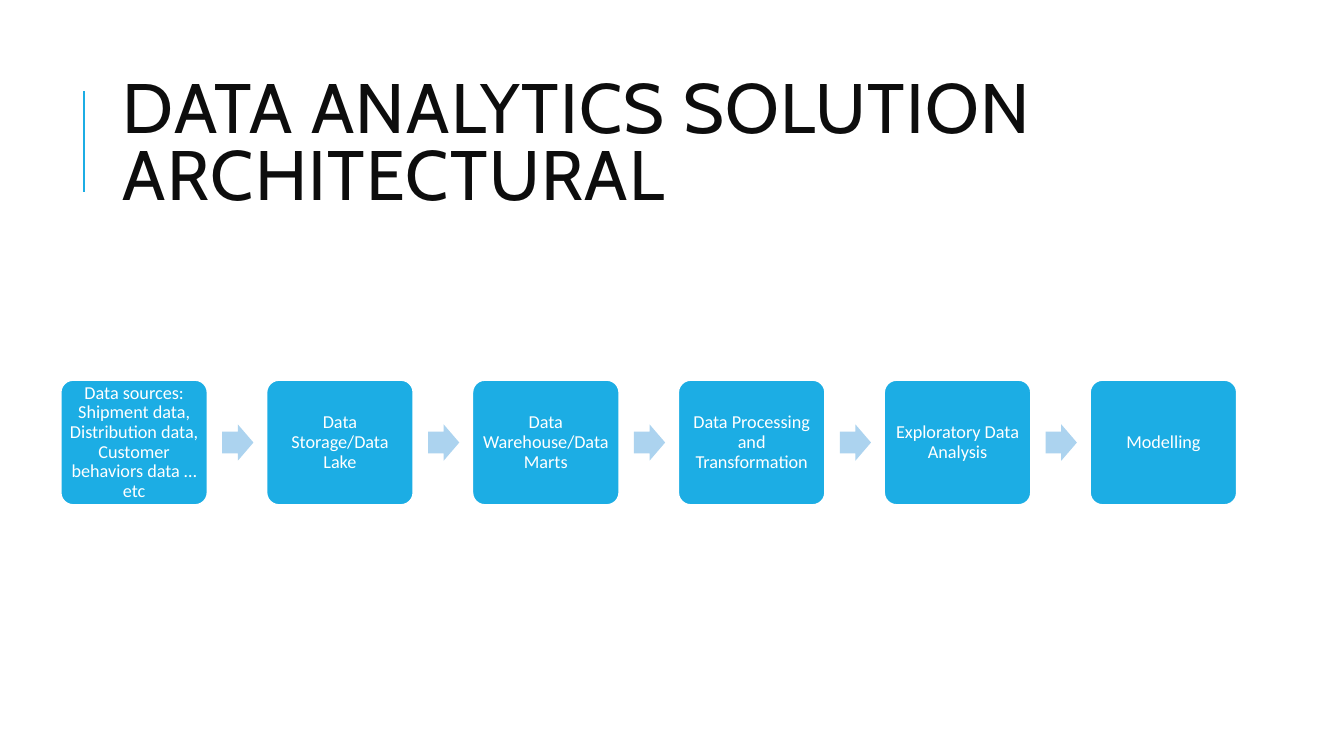
from lxml.etree import SubElement
from pptx import Presentation
from pptx.dml.color import RGBColor
from pptx.enum.shapes import MSO_CONNECTOR as Connector, MSO_SHAPE as Shape
from pptx.enum.text import MSO_ANCHOR as Anchor, PP_ALIGN as Align
from pptx.oxml.ns import qn
from pptx.util import Pt

STAGES = [
    "Data sources: Shipment data, Distribution data, Customer behaviors data …etc",
    "Data Storage/Data Lake",
    "Data Warehouse/Data Marts",
    "Data Processing and Transformation",
    "Exploratory Data Analysis",
    "Modelling",
]
BLUE, PALE_BLUE, WHITE, BLACK = "1CADE4", "ACD3EF", "FFFFFF", "0D0D0D"
STAGE_LEFT, STAGE_PITCH, STAGE_WIDTH, STAGE_HEIGHT = 43.3, 147.05, 104.9, 89.3
FLOW_MIDDLE = 316.1
ARROW_OFFSET, ARROW_WIDTH, ARROW_HEIGHT = 115.4, 22.3, 26


def color(value):
    return RGBColor.from_string(value)


def set_attributes(target, values):
    for name, value in values.items():
        setattr(target, name, value)


def write_text(shape, text, font, frame, spacing, align):
    set_attributes(shape.text_frame, {"word_wrap": True, "vertical_anchor": Anchor.MIDDLE, **frame})
    paragraph = shape.text_frame.paragraphs[0]
    set_attributes(paragraph, {"line_spacing": spacing, "alignment": align})
    run = paragraph.add_run()
    run.text = text
    name, size, fill = font
    set_attributes(run.font, {"name": name, "size": Pt(size)})
    run.font.color.rgb = color(fill)
    return run


def add_title(slide, text):
    box = slide.shapes.add_textbox(Pt(80.6), Pt(46.1), Pt(765.4), Pt(118.1))
    run = write_text(box, text, ("Cabin", 50, BLACK), {}, 0.8, Align.LEFT)
    run.font._element.set("spc", "100")


def add_accent_line(slide):
    line = slide.shapes.add_connector(Connector.STRAIGHT, Pt(60), Pt(136.8), Pt(60), Pt(64.8))
    line.line.color.rgb = color(BLUE)
    line.line.width = Pt(1.5)
    SubElement(line._element.spPr, qn("a:effectLst"))


def add_filled_shape(slide, kind, left, width, height, fill, adjustments):
    top = FLOW_MIDDLE - height / 2
    shape = slide.shapes.add_shape(kind, Pt(left), Pt(top), Pt(width), Pt(height))
    shape.shadow.inherit = False
    shape.fill.solid()
    shape.fill.fore_color.rgb = color(fill)
    shape.line.fill.background()
    for index, value in enumerate(adjustments):
        shape.adjustments[index] = value
    return shape


def add_stage(slide, left, text):
    box = add_filled_shape(slide, Shape.ROUNDED_RECTANGLE, left, STAGE_WIDTH, STAGE_HEIGHT, BLUE, [0.1])
    box.line.color.rgb = color(WHITE)
    box.line.width = Pt(1.25)
    margins = {f"margin_{side}": Pt(3.6) for side in ("left", "top", "right", "bottom")}
    write_text(box, text, ("Calibri", 13, WHITE), margins, 0.9, Align.CENTER)


def add_arrow(slide, left):
    add_filled_shape(slide, Shape.RIGHT_ARROW, left, ARROW_WIDTH, ARROW_HEIGHT, PALE_BLUE, [0.6, 0.5])


def main():
    presentation = Presentation()
    set_attributes(presentation, {"slide_width": Pt(960), "slide_height": Pt(540)})
    slide = presentation.slides.add_slide(presentation.slide_layouts[6])
    add_accent_line(slide)
    add_title(slide, "DATA ANALYTICS SOLUTION ARCHITECTURAL")
    for index, text in enumerate(STAGES):
        left = STAGE_LEFT + index * STAGE_PITCH
        add_stage(slide, left, text)
        if index < len(STAGES) - 1:
            add_arrow(slide, left + ARROW_OFFSET)
    presentation.save("out.pptx")


if __name__ == "__main__":
    main()
